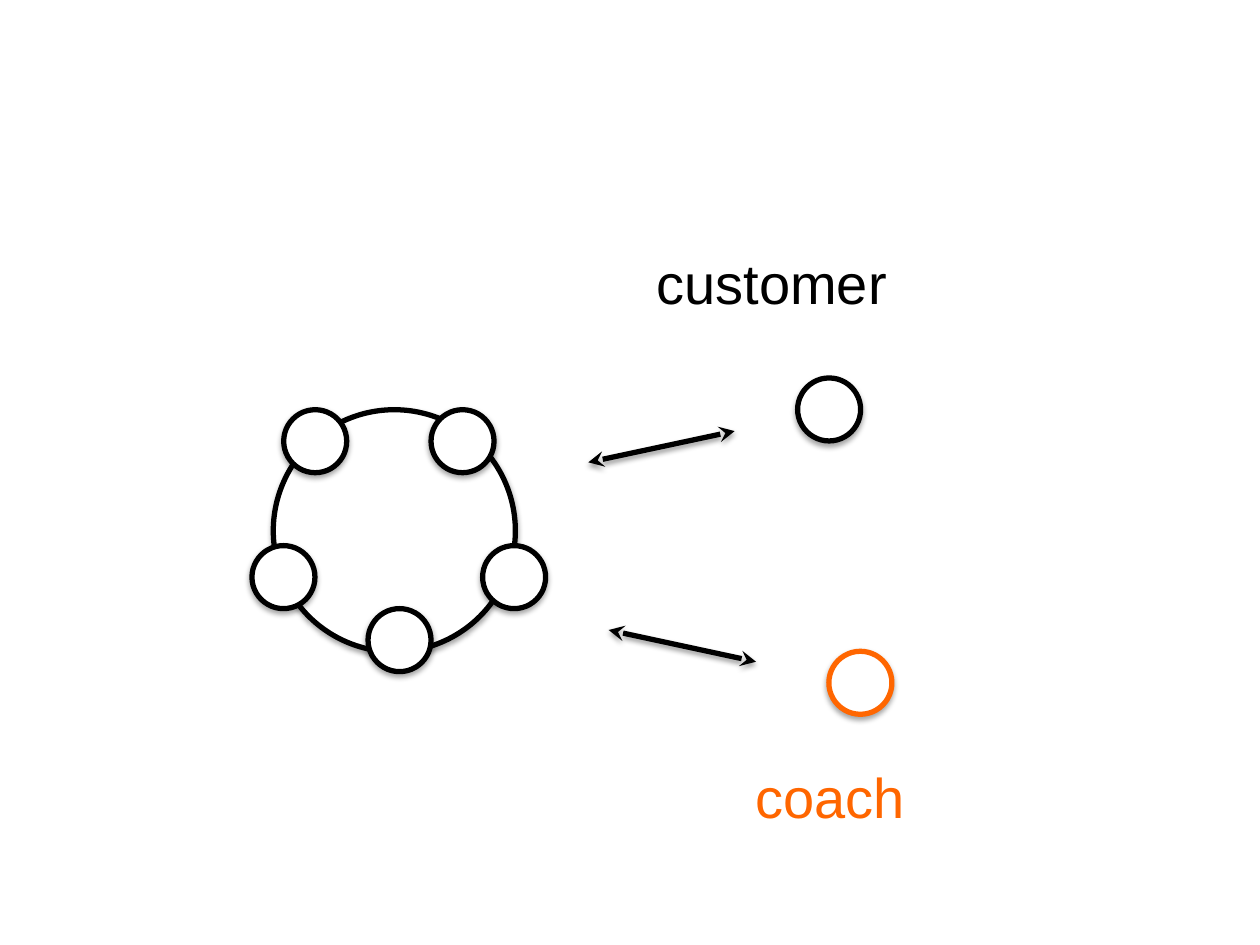
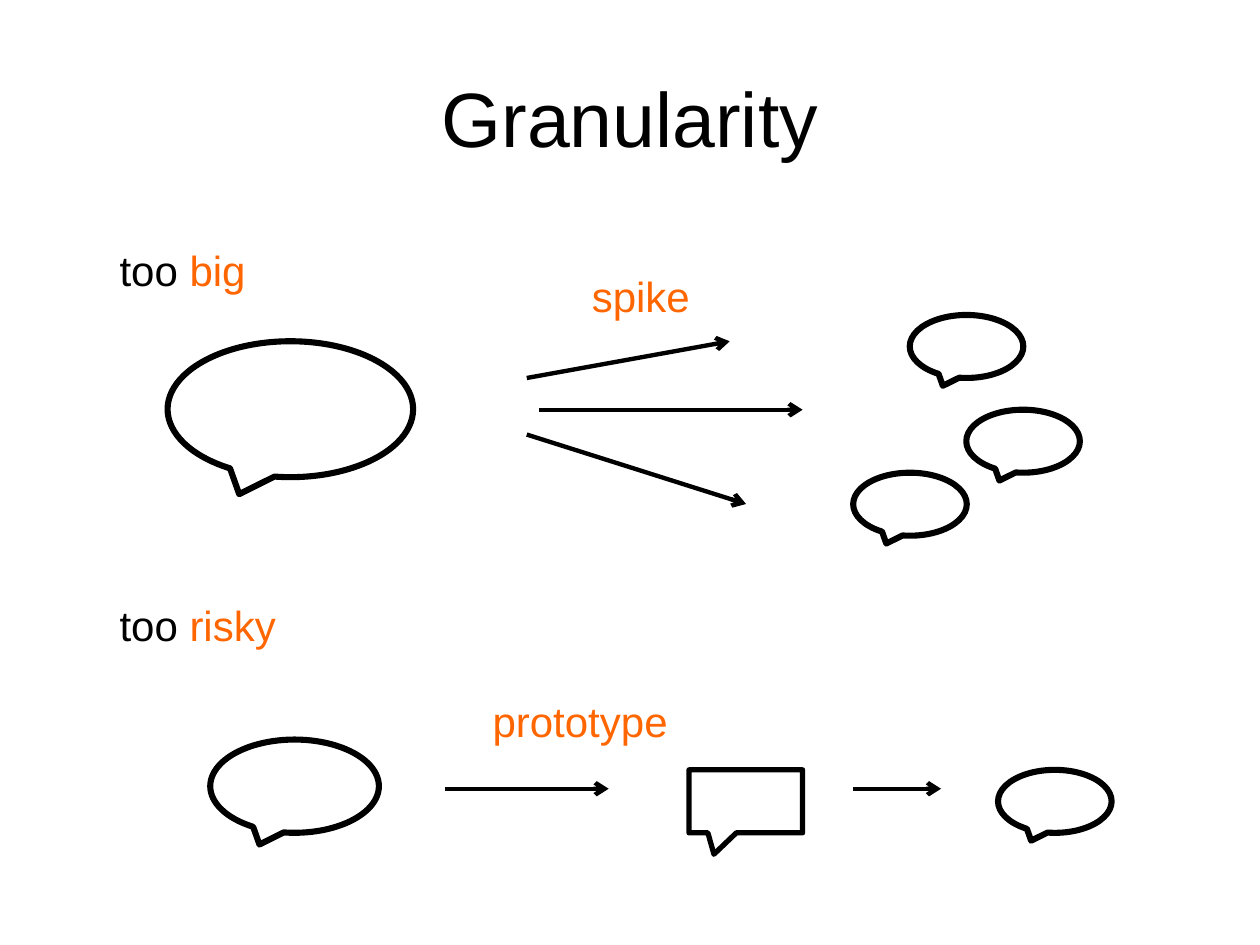
from typing import NamedTuple

import pptx
import pptx.dml.color
import pptx.enum.shapes
import pptx.enum.text
import pptx.oxml.ns
import pptx.util
from lxml import etree

Cm = pptx.util.Cm
Pt = pptx.util.Pt
qn = pptx.oxml.ns.qn
ShapeKind = pptx.enum.shapes.MSO_SHAPE
Align = pptx.enum.text.PP_ALIGN

# Shared style
COLOURS = {"ink": "000000", "paper": "FFFFFF", "accent": "FF6600"}
FONT = "Arial"
TITLE_ONLY, BLANK = 5, 6
PERSON_SIZE = 1.27
SMALL_STORY = (2.29, 1.27)


class Outline(NamedTuple):
    """A preset shape with a heavy outline; lengths in centimetres."""
    left: float
    top: float
    width: float
    height: float
    kind: ShapeKind = ShapeKind.OVAL_CALLOUT
    line: str = "ink"
    weight: float = 3.5
    fill: str | None = "paper"
    shadow_alpha: int = 0
    adjustments: tuple[float, ...] = ()


class Arrow(NamedTuple):
    start: tuple[float, float]
    end: tuple[float, float]
    weight: float = 2.5
    head: str | None = None
    tail: str = "arrow"
    shadow_alpha: int = 0


class Label(NamedTuple):
    left: float
    top: float
    width: float
    height: float
    runs: tuple[tuple[str, str], ...]
    size: float = 24
    centred: bool = False


def rgb(name: str) -> pptx.dml.color.RGBColor:
    return pptx.dml.color.RGBColor.from_string(COLOURS[name])


def fill_shadow(effects: etree._Element, alpha: int) -> None:
    """Put a soft downward shadow into an effect list."""
    shadow = etree.SubElement(
        effects, qn("a:outerShdw"), blurRad=str(Pt(3.1)), dist=str(Pt(1.8)),
        dir="5400000", rotWithShape="0")
    colour = etree.SubElement(shadow, qn("a:srgbClr"), val=COLOURS["ink"])
    etree.SubElement(colour, qn("a:alpha"), val=str(alpha * 1000))


def draw_outline(slide: pptx.slide.Slide, outline: Outline) -> None:
    shape = slide.shapes.add_shape(
        outline.kind, Cm(outline.left), Cm(outline.top),
        Cm(outline.width), Cm(outline.height))
    for index, value in enumerate(outline.adjustments):
        shape.adjustments[index] = value
    if outline.fill:
        shape.fill.solid()
        shape.fill.fore_color.rgb = rgb(outline.fill)
    else:
        shape.fill.background()
    shape.line.color.rgb = rgb(outline.line)
    shape.line.width = Pt(outline.weight)
    shape.shadow.inherit = False
    if outline.shadow_alpha:
        effects = shape.element.spPr.find(qn("a:effectLst"))
        fill_shadow(effects, outline.shadow_alpha)


def draw_arrow(slide: pptx.slide.Slide, arrow: Arrow) -> None:
    connector = slide.shapes.add_connector(
        pptx.enum.shapes.MSO_CONNECTOR.STRAIGHT,
        *map(Cm, arrow.start), *map(Cm, arrow.end))
    connector.line.color.rgb = rgb("ink")
    connector.line.width = Pt(arrow.weight)
    properties = connector.element.spPr
    line = properties.find(qn("a:ln"))
    for tag, kind in (("a:headEnd", arrow.head), ("a:tailEnd", arrow.tail)):
        if kind:
            etree.SubElement(line, qn(tag), type=kind)
    effects = etree.SubElement(properties, qn("a:effectLst"))
    if arrow.shadow_alpha:
        fill_shadow(effects, arrow.shadow_alpha)


def add_run(paragraph, text: str, colour: str, size: float) -> None:
    run = paragraph.add_run()
    run.text = text
    run.font.name = FONT
    run.font.size = Pt(size)
    run.font.color.rgb = rgb(colour)


def draw_label(slide: pptx.slide.Slide, label: Label) -> None:
    box = slide.shapes.add_textbox(
        Cm(label.left), Cm(label.top), Cm(label.width), Cm(label.height))
    frame = box.text_frame
    frame.word_wrap = label.centred
    paragraph = frame.paragraphs[0]
    if label.centred:
        paragraph.alignment = Align.CENTER
        paragraph.space_before = Pt(3)
    else:
        frame.auto_size = pptx.enum.text.MSO_AUTO_SIZE.SHAPE_TO_FIT_TEXT
    for text, colour in label.runs:
        add_run(paragraph, text, colour, label.size)


def set_title(slide: pptx.slide.Slide, text: str) -> None:
    title = slide.shapes.title
    title.left, title.top = Cm(1.27), Cm(0.76)
    title.width, title.height = Cm(22.86), Cm(3.18)
    title.text_frame.vertical_anchor = pptx.enum.text.MSO_ANCHOR.MIDDLE
    paragraph = title.text_frame.paragraphs[0]
    paragraph.alignment = Align.CENTER
    add_run(paragraph, text, "ink", 44)


def circle(left: float, top: float, size: float = PERSON_SIZE,
           line: str = "ink") -> Outline:
    return Outline(left, top, size, size, ShapeKind.OVAL, line, 3,
                   shadow_alpha=35)


def build_team_slide(presentation: pptx.presentation.Presentation) -> None:
    slide = presentation.slides.add_slide(presentation.slide_layouts[BLANK])

    # Team ring and its members
    draw_outline(slide, circle(5.51, 8.26, 4.88))
    members = ((5.72, 8.26), (5.08, 11), (8.69, 8.26), (7.42, 12.27), (9.73, 11))
    for left, top in members:
        draw_outline(slide, circle(left, top))

    # People outside the team
    draw_outline(slide, circle(16.08, 7.62))
    draw_outline(slide, circle(16.71, 13.13, line="accent"))
    for left, top, text, colour in ((12.7, 4.88, "customer", "ink"),
                                    (13.87, 15.24, "coach", "accent")):
        draw_label(slide, Label(left, top, 5.72, 2.11, ((text, colour),), 32, True))

    # Two-way exchanges
    for start, end in (((11.86, 9.32), (14.81, 8.69)),
                       ((12.27, 12.7), (15.24, 13.34))):
        draw_arrow(slide, Arrow(start, end, 3, "stealth", "stealth", 38))


def build_granularity_slide(presentation: pptx.presentation.Presentation) -> None:
    slide = presentation.slides.add_slide(presentation.slide_layouts[TITLE_ONLY])
    set_title(slide, "Granularity")

    # Prototype, large stories and small stories
    stories = [
        Outline(13.89, 15.52, *SMALL_STORY, ShapeKind.RECTANGULAR_CALLOUT,
                weight=3, fill=None, adjustments=(-0.28, 0.84)),
        Outline(3.38, 6.88, 4.95, 2.74),
        Outline(4.24, 14.91, 3.4, 1.88),
    ]
    small_places = ((18.34, 6.35), (19.48, 8.26), (17.2, 9.53), (20.12, 15.52))
    stories += [Outline(*place, *SMALL_STORY) for place in small_places]
    for story in stories:
        draw_outline(slide, story)

    # Problems and remedies
    for label in (
        Label(2.16, 4.8, 3.07, 1.27, (("too ", "ink"), ("big", "accent"))),
        Label(11.68, 5.33, 2.51, 1.27, (("spike", "accent"),)),
        Label(2.16, 11.96, 3.71, 1.27, (("too ", "ink"), ("risky", "accent"))),
        Label(9.68, 13.89, 4.09, 1.27, (("prototype", "accent"),)),
    ):
        draw_label(slide, label)

    # Splitting arrows, then the prototype chain
    for start, end in (
        ((10.62, 7.62), (14.71, 6.88)),
        ((10.87, 8.26), (16.18, 8.26)),
        ((10.62, 8.76), (15.04, 10.16)),
        ((8.97, 15.9), (12.27, 15.9)),
        ((17.2, 15.9), (18.97, 15.9)),
    ):
        draw_arrow(slide, Arrow(start, end))


def main() -> None:
    presentation = pptx.Presentation()
    presentation.slide_width = Cm(25.4)
    presentation.slide_height = Cm(19.05)
    build_team_slide(presentation)
    build_granularity_slide(presentation)
    presentation.save("out.pptx")


if __name__ == "__main__":
    main()
